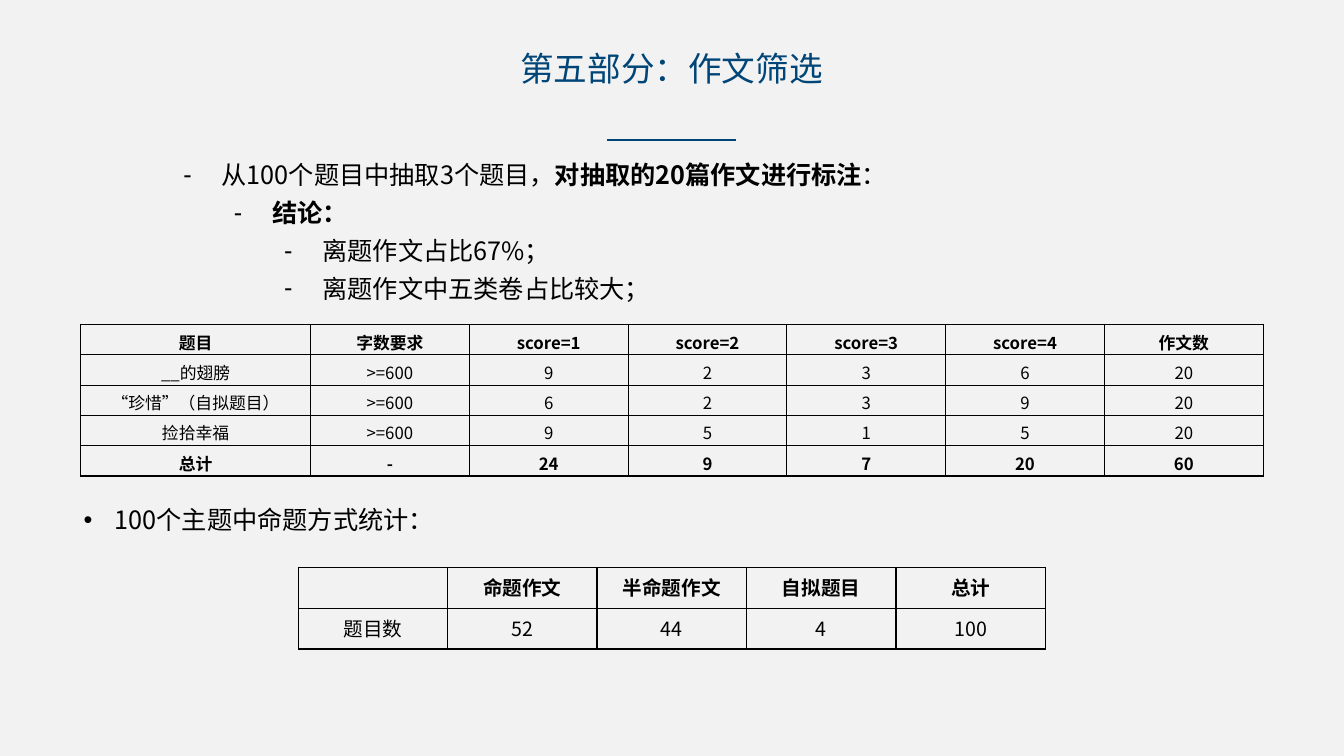
from lxml import etree
from pptx import Presentation
from pptx.dml.color import RGBColor
from pptx.enum.shapes import MSO_CONNECTOR
from pptx.enum.text import MSO_ANCHOR, PP_ALIGN
from pptx.oxml.ns import qn
from pptx.util import Inches, Pt

CENTER, LEFT = PP_ALIGN.CENTER, PP_ALIGN.LEFT
TOP, MIDDLE = MSO_ANCHOR.TOP, MSO_ANCHOR.MIDDLE
STRAIGHT = MSO_CONNECTOR.STRAIGHT
COLORS = {"background": "F2F2F2", "title": "004578", "text": "000000"}
FONT = "Noto Sans CJK SC"

FINDINGS = [
    (1, [("从100个题目中抽取3个题目，", False), ("对抽取的20篇作文进行标注", True), ("：", False)]),
    (2, [("结论：", True)]),
    (3, [("离题作文占比67%；", False)]),
    (3, [("离题作文中五类卷占比较大；", False)]),
]
STATISTICS = [(0, [("100个主题中命题方式统计：", False)])]
SCORES = [
    ["题目", "字数要求", "score=1", "score=2", "score=3", "score=4", "作文数"],
    ["__的翅膀", ">=600", "9", "2", "3", "6", "20"],
    ["“珍惜”（自拟题目）", ">=600", "6", "2", "3", "9", "20"],
    ["捡拾幸福", ">=600", "9", "5", "1", "5", "20"],
    ["总计", "-", "24", "9", "7", "20", "60"],
]
TITLE_TYPES = [
    ["", "命题作文", "半命题作文", "自拟题目", "总计"],
    ["题目数", "52", "44", "4", "100"],
]


def color(name):
    return RGBColor.from_string(COLORS[name])


def add_run(paragraph, text, size, bold=False, color_name="text"):
    run = paragraph.add_run()
    run.text = text
    for name, value in {"size": Pt(size), "bold": bold, "name": FONT}.items():
        setattr(run.font, name, value)
    run.font.color.rgb = color(color_name)
    east_asian = etree.SubElement(run.font._element, qn("a:ea"))
    east_asian.set("typeface", FONT)


def place(shape, box):
    for name, value in zip(("left", "top", "width", "height"), box):
        setattr(shape, name, Inches(value))


def add_title(slide, box):
    """Place the title and the short rule centred below it."""
    left, top, width, height = box
    title = slide.shapes.title
    place(title, box)
    title.text_frame.vertical_anchor = TOP
    paragraph = title.text_frame.paragraphs[0]
    paragraph.alignment = CENTER
    paragraph.line_spacing = 1.0
    add_run(paragraph, "第五部分：作文筛选", 24, color_name="title")

    middle, rule_top, half = left + width / 2, top + height + 0.46, 0.635
    rule = slide.shapes.add_connector(
        STRAIGHT, *map(Inches, (middle - half, rule_top, middle + half, rule_top)))
    rule.line.color.rgb = color("title")
    rule.line.width = Pt(1.5)
    etree.SubElement(rule._element.spPr, qn("a:effectLst"))


def add_bullets(slide, box, items, character, first_margin, hanging):
    """Place bulleted lines; each level moves half an inch to the right."""
    frame = slide.shapes.add_textbox(*map(Inches, box)).text_frame
    frame.word_wrap = True
    for index, (level, runs) in enumerate(items):
        paragraph = frame.add_paragraph() if index else frame.paragraphs[0]
        paragraph.level = level
        paragraph.alignment = LEFT
        paragraph.line_spacing = 1.25
        properties = paragraph._p.get_or_add_pPr()
        margin = first_margin + 0.5 * (level - items[0][0])
        properties.set("marL", str(Inches(margin)))
        properties.set("indent", str(Inches(-hanging)))
        etree.SubElement(properties, qn("a:buFont")).set("typeface", "Arial")
        etree.SubElement(properties, qn("a:buChar")).set("char", character)
        for text, bold in runs:
            add_run(paragraph, text, 18, bold)


def add_borders(cell):
    properties = cell._tc.get_or_add_tcPr()
    for position, side in enumerate(("a:lnL", "a:lnR", "a:lnT", "a:lnB")):
        line = etree.Element(qn(side), w=str(Pt(1)))
        fill = etree.SubElement(line, qn("a:solidFill"))
        etree.SubElement(fill, qn("a:srgbClr")).set("val", COLORS["text"])
        properties.insert(position, line)


def add_grid(slide, box, rows, first_width, size, anchor, bold_rows):
    """Place a bordered table whose columns after the first are equal."""
    column_count = len(rows[0])
    table = slide.shapes.add_table(len(rows), column_count, *map(Inches, box)).table
    table.first_row = table.horz_banding = False
    other_width = (box[2] - first_width) / (column_count - 1)
    for index, column in enumerate(table.columns):
        column.width = Inches(other_width if index else first_width)
    for row_index, values in enumerate(rows):
        table.rows[row_index].height = Inches(box[3] / len(rows))
        for column_index, value in enumerate(values):
            cell = table.cell(row_index, column_index)
            cell.fill.background()
            cell.vertical_anchor = anchor
            add_borders(cell)
            if value:
                paragraph = cell.text_frame.paragraphs[0]
                paragraph.alignment = CENTER
                add_run(paragraph, value, size, row_index in bold_rows)


def main():
    presentation = Presentation()
    presentation.slide_width, presentation.slide_height = Inches(13.33), Inches(7.5)
    slide = presentation.slides.add_slide(presentation.slide_layouts[5])
    slide.background.fill.solid()
    slide.background.fill.fore_color.rgb = color("background")

    add_title(slide, (3.95, 0.43, 5.42, 0.5))
    add_bullets(slide, (0.72, 1.46, 11.88, 1.59), FINDINGS, "-", 1.38, 0.38)
    add_grid(slide, (0.8, 3.22, 11.73, 1.5), SCORES, 2.28, 12, MIDDLE, (0, 4))
    add_bullets(slide, (0.73, 4.88, 11.88, 0.45), STATISTICS, "•", 0.31, 0.31)
    add_grid(slide, (2.96, 5.63, 7.41, 0.81), TITLE_TYPES, 1.48, 14, TOP, (0,))
    presentation.save("out.pptx")


if __name__ == "__main__":
    main()
